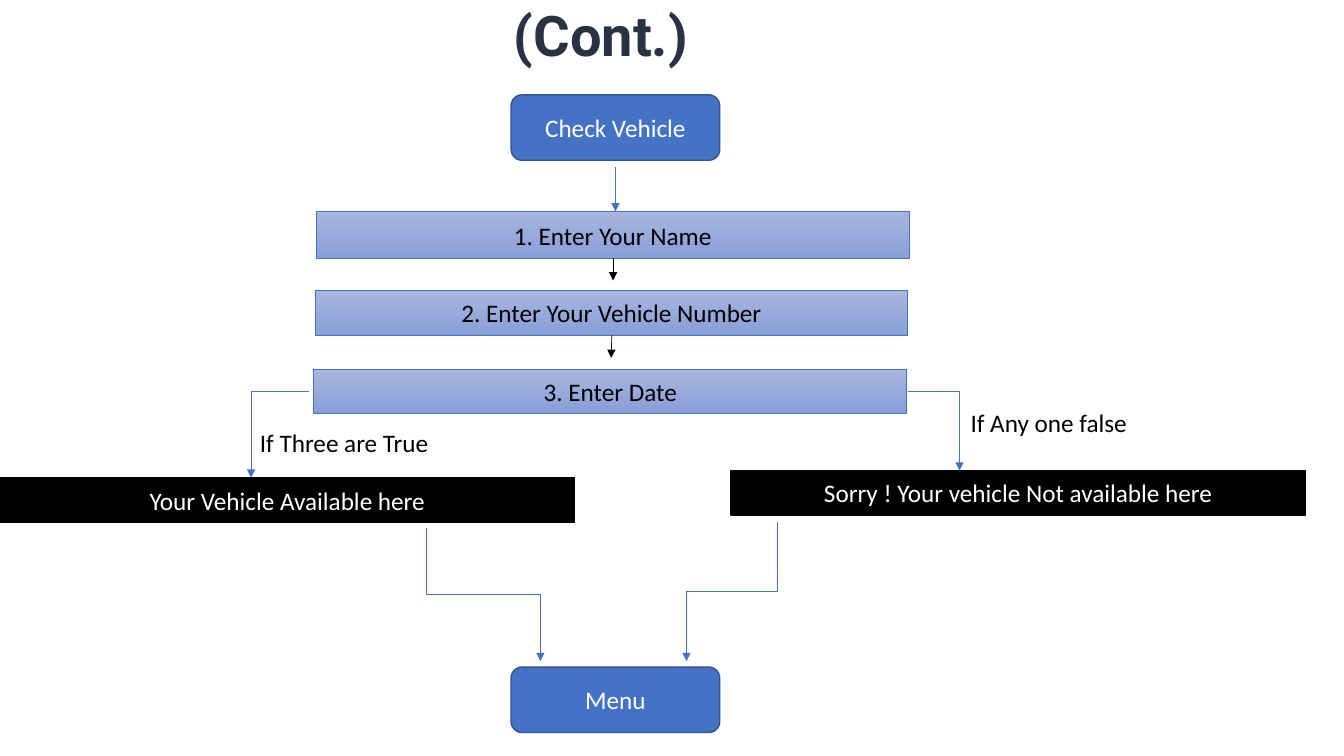
from lxml import etree
from pptx import Presentation
from pptx.dml.color import RGBColor
from pptx.enum.shapes import MSO_CONNECTOR, MSO_SHAPE
from pptx.enum.text import MSO_ANCHOR, MSO_AUTO_SIZE, PP_ALIGN
from pptx.oxml.ns import qn
from pptx.util import Cm, Pt

RECTANGLE = MSO_SHAPE.RECTANGLE
ROUNDED = MSO_SHAPE.ROUNDED_RECTANGLE
STRAIGHT = MSO_CONNECTOR.STRAIGHT
ELBOW = MSO_CONNECTOR.ELBOW
LEFT, CENTER = PP_ALIGN.LEFT, PP_ALIGN.CENTER
TOP, MIDDLE = MSO_ANCHOR.TOP, MSO_ANCHOR.MIDDLE
NO_AUTOFIT = MSO_AUTO_SIZE.NONE

COLORS = {
    "title": "293242",
    "blue": "4472C4",
    "blue_edge": "325491",
    "step_top": "A8B7DF",
    "step_bottom": "889ED7",
    "black": "000000",
    "white": "FFFFFF",
}


def color(name):
    return RGBColor.from_string(COLORS[name])


class FlowSlide:
    """Holds the text style and the slide that is being filled."""

    def __init__(self, presentation):
        self.font_name = "Calibri"
        self.font_size = 18
        self.slide = presentation.slides.add_slide(presentation.slide_layouts[5])

    def add_text(self, frame, text, color_name, alignment=CENTER, anchor=MIDDLE):
        frame.word_wrap = True
        frame.vertical_anchor = anchor
        paragraph = frame.paragraphs[0]
        paragraph.alignment = alignment
        run = paragraph.add_run()
        run.text = text
        run.font.name = self.font_name
        run.font.size = Pt(self.font_size)
        run.font.color.rgb = color(color_name)
        return run

    def title(self, text, box):
        shape = self.slide.shapes.title
        shape.left, shape.top, shape.width, shape.height = map(Cm, box)
        frame = shape.text_frame
        frame.auto_size = NO_AUTOFIT
        frame.margin_left = frame.margin_right = Cm(0.25)
        frame.margin_top = frame.margin_bottom = Cm(0.25)
        run = self.add_text(frame, text, "title", LEFT, TOP)
        run.font.name = "Roboto"
        run.font.size = Pt(40)
        run.font.bold = True
        frame.paragraphs[0].line_spacing = 0.9

    def box(self, text, box, kind, fill, edge, edge_width=1, text_color="white"):
        """Adds a filled box; a fill of two color names runs from top to bottom."""
        shape = self.slide.shapes.add_shape(kind, *map(Cm, box))
        shape.shadow.inherit = False
        if isinstance(fill, tuple):
            shape.fill.gradient()
            shape.fill.gradient_angle = 270
            for stop, position, name in zip(shape.fill.gradient_stops, (0, 1), fill):
                stop.position = position
                stop.color.rgb = color(name)
        else:
            shape.fill.solid()
            shape.fill.fore_color.rgb = color(fill)
        shape.line.color.rgb = color(edge)
        shape.line.width = Pt(edge_width)
        self.add_text(shape.text_frame, text, text_color)

    def label(self, text, box):
        shape = self.slide.shapes.add_textbox(*map(Cm, box))
        self.add_text(shape.text_frame, text, "black", LEFT, TOP)

    def arrow(self, start, end, color_name="blue", kind=STRAIGHT):
        """Adds an arrow and returns its properties element."""
        connector = self.slide.shapes.add_connector(kind, *map(Cm, (*start, *end)))
        connector.line.color.rgb = color(color_name)
        connector.line.width = Pt(0.5)
        properties = connector._element.spPr
        tail = etree.SubElement(properties.find(qn("a:ln")), qn("a:tailEnd"))
        tail.set("type", "triangle")
        etree.SubElement(properties, qn("a:effectLst"))
        return properties

    def side_arrow(self, start, end):
        """Adds an arrow that runs sideways, then turns once."""
        properties = self.arrow(start, end, kind=ELBOW)
        properties.find(qn("a:prstGeom")).set("prst", "bentConnector2")

    def down_arrow(self, start, end):
        """Adds an arrow that runs down, across and down again.

        An elbow starts sideways, so it is laid flat around the same centre
        and then turned by a quarter.
        """
        center_x, center_y = (start[0] + end[0]) / 2, (start[1] + end[1]) / 2
        half_x, half_y = (end[0] - start[0]) / 2, (end[1] - start[1]) / 2
        properties = self.arrow(
            (center_x - half_y, center_y + half_x),
            (center_x + half_y, center_y - half_x),
            kind=ELBOW,
        )
        properties.find(qn("a:xfrm")).set("rot", str(90 * 60000))


def main():
    presentation = Presentation()
    presentation.slide_width = Cm(33.87)
    presentation.slide_height = Cm(19.05)
    flow = FlowSlide(presentation)

    flow.title("(Cont.)", (12.7, -0.05, 6.53, 1.78))
    for text, top in (("Check Vehicle", 2.39), ("Menu", 16.81)):
        flow.box(text, (12.88, top, 5.26, 1.65), ROUNDED, "blue", "blue_edge")

    steps = (
        ("1. Enter Your Name", 1.19),
        ("2. Enter Your Vehicle Number", 1.12),
        ("3. Enter Date", 1.12),
    )
    for index, (text, height) in enumerate(steps):
        box = (7.97 - 0.03 * index, 5.33 + 1.99 * index, 14.94, height)
        flow.box(text, box, RECTANGLE, ("step_top", "step_bottom"), "blue", 0.5, "black")

    flow.arrow((15.51, 4.22), (15.51, 5.33))
    flow.arrow((15.45, 6.51), (15.45, 7.07), "black")
    flow.arrow((15.42, 8.43), (15.4, 9.02), "black")

    outcomes = (
        ("Your Vehicle Available here", 0, 12.04),
        ("Sorry ! Your vehicle Not available here", 18.42, 11.86),
    )
    for text, left, top in outcomes:
        flow.box(text, (left, top, 14.48, 1.12), RECTANGLE, "black", "black")

    flow.side_arrow((7.78, 9.86), (6.33, 12.04))
    flow.side_arrow((22.88, 9.86), (24.18, 11.86))
    flow.label("If Three are True", (6.3, 10.64, 5.33, 1.02))
    flow.label("If Any one false", (24.21, 10.13, 5.13, 1.02))
    flow.down_arrow((10.74, 13.31), (13.62, 16.66))
    flow.down_arrow((19.58, 13.16), (17.3, 16.66))

    presentation.save("out.pptx")


if __name__ == "__main__":
    main()
